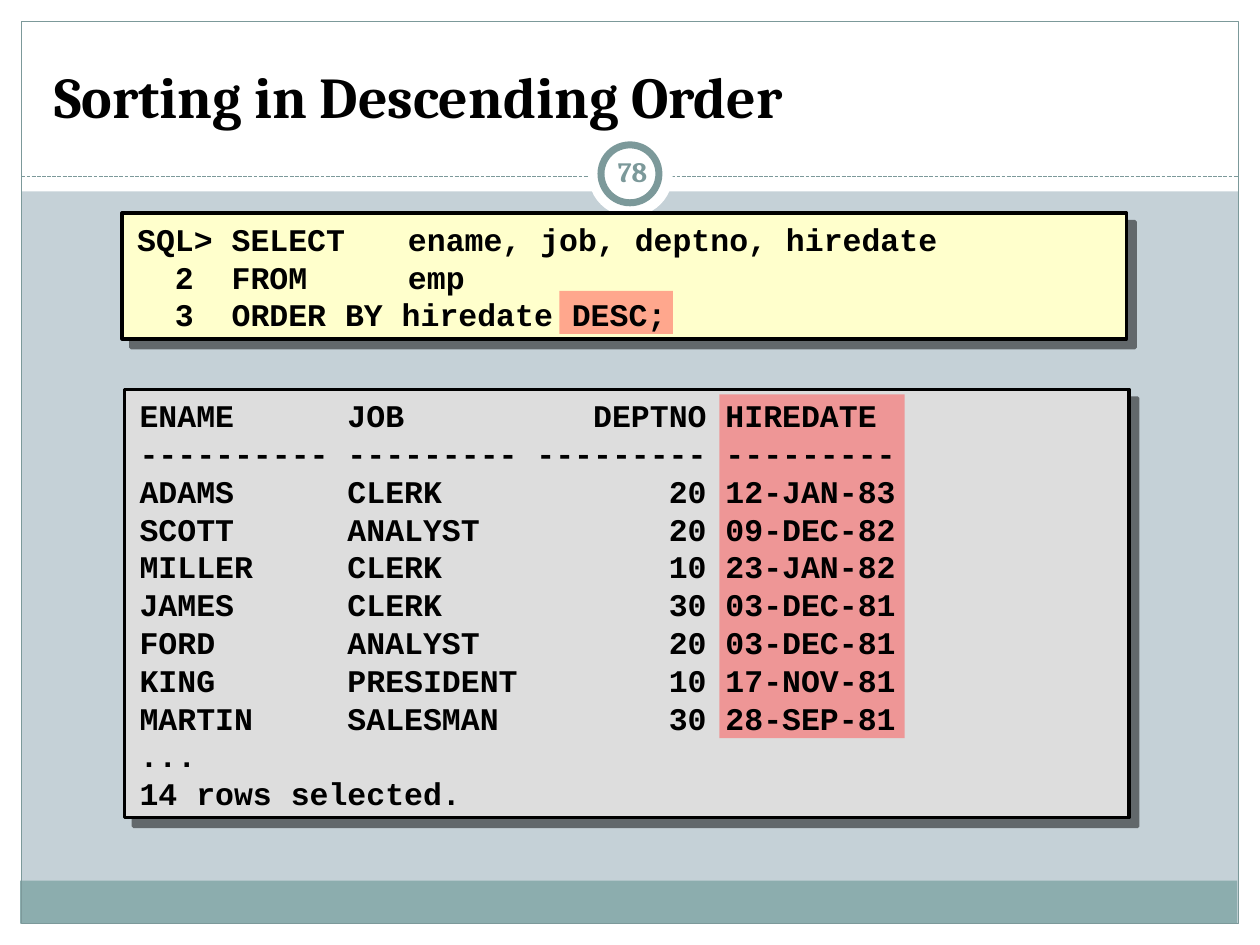
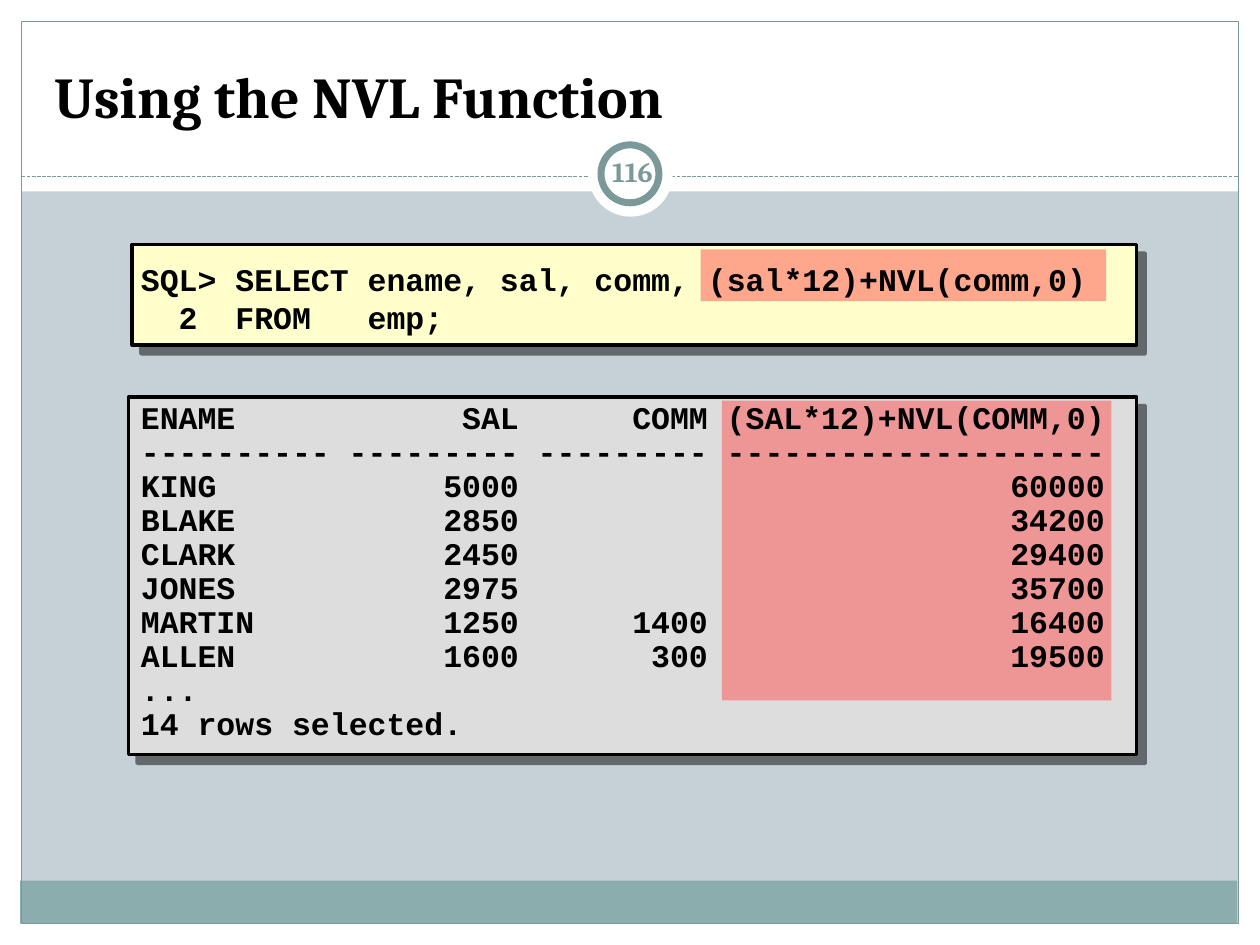
from lxml.etree import SubElement as Sub
from pptx import Presentation
from pptx.dml.color import RGBColor
from pptx.enum.dml import MSO_LINE as Dash
from pptx.enum.shapes import MSO_CONNECTOR as Conn, MSO_SHAPE as Kind
from pptx.enum.text import MSO_ANCHOR as Anchor, MSO_AUTO_SIZE as Fit, PP_ALIGN as Align
from pptx.oxml.ns import qn
from pptx.util import Inches, Pt

WHITE, BLACK, SKY, BAND, EDGE = "FFFFFF", "000000", "C5D1D7", "8CADAE", "7C999A"
CODE, RESULT, MARK = "FFFFCC", "DDDDDD", "FF5050"
SERIF, MONO = "Cambria", "Courier New"
CHAR = 0.15  # width of one 18 pt Courier New character, in inches

SORT_CODE = [
    "SQL> SELECT\tename, job, deptno, hiredate",
    "  2  FROM\temp",
    "  3  ORDER BY hiredate DESC;",
]
SORT_ROWS = [
    ("ENAME", "JOB", "DEPTNO", "HIREDATE"),
    ("-" * 10, "-" * 9, "-" * 9, "-" * 9),
    ("ADAMS", "CLERK", "20", "12-JAN-83"),
    ("SCOTT", "ANALYST", "20", "09-DEC-82"),
    ("MILLER", "CLERK", "10", "23-JAN-82"),
    ("JAMES", "CLERK", "30", "03-DEC-81"),
    ("FORD", "ANALYST", "20", "03-DEC-81"),
    ("KING", "PRESIDENT", "10", "17-NOV-81"),
    ("MARTIN", "SALESMAN", "30", "28-SEP-81"),
    ("...",),
    ("14 rows selected.",),
]
NVL_CODE = [
    "SQL> SELECT\tename, sal, comm, (sal*12)+NVL(comm,0)",
    "  2  FROM\temp;",
]
NVL_ROWS = [
    ("ENAME", "SAL", "COMM", "(SAL*12)+NVL(COMM,0)"),
    ("-" * 10, "-" * 9, "-" * 9, "-" * 20),
    ("KING", "5000", "", "60000"),
    ("BLAKE", "2850", "", "34200"),
    ("CLARK", "2450", "", "29400"),
    ("JONES", "2975", "", "35700"),
    ("MARTIN", "1250", "1400", "16400"),
    ("ALLEN", "1600", "300", "19500"),
    ("...",),
    ("14 rows selected.",),
]


def rgb(code):
    return RGBColor.from_string(code)


def inch(box):
    return [Inches(n) for n in box]


def add_form(slide, box, fill=None, line=None, width=0.75, kind=Kind.RECTANGLE):
    form = slide.shapes.add_shape(kind, *inch(box))
    form.shadow.inherit = False
    if fill:
        form.fill.solid()
        form.fill.fore_color.rgb = rgb(fill)
    else:
        form.fill.background()
    if line:
        form.line.color.rgb = rgb(line)
        form.line.width = Pt(width)
    else:
        form.line.fill.background()
    return form


def add_panel(slide, box, fill):
    """Outlined box with a hard shadow to the lower right."""
    panel = add_form(slide, box, fill, BLACK, 2)
    effects = panel.element.spPr.find(qn("a:effectLst"))
    cast = Sub(effects, qn("a:outerShdw"), blurRad="0", dist=str(Pt(7.1)),
               dir="2700000", algn="ctr", rotWithShape="0")
    tint = Sub(cast, qn("a:srgbClr"), val=BLACK)
    Sub(tint, qn("a:alpha"), val="50000")


def add_mark(slide, box):
    """Half-transparent highlight."""
    mark = add_form(slide, box, MARK)
    tint = mark.element.spPr.find(qn("a:solidFill"))[0]
    Sub(tint, qn("a:alpha"), val="50000")


def add_run(para, text, font, size, color, bold=True):
    run = para.add_run()
    run.text = text
    run.font.name, run.font.size, run.font.bold = font, Pt(size), bold
    run.font.color.rgb = rgb(color)


def add_tabs(para, stops):
    """Stops are (column in characters, alignment) pairs."""
    tabs = Sub(para._p.get_or_add_pPr(), qn("a:tabLst"))
    for col, side in stops:
        Sub(tabs, qn("a:tab"), pos=str(Inches(col * CHAR)), algn=side)


def add_text(slide, box, lines, stops, anchor=Anchor.MIDDLE, space=1.0):
    frame = slide.shapes.add_textbox(*inch(box)).text_frame
    frame.word_wrap = True
    frame.vertical_anchor = anchor
    for i, line in enumerate(lines):
        para = frame.add_paragraph() if i else frame.paragraphs[0]
        para.line_spacing = space
        add_tabs(para, stops)
        add_run(para, line, MONO, 18, BLACK)


def add_page(slide, number):
    frame = slide.shapes.add_textbox(*inch((4.77, 1.12, 0.5, 0.48))).text_frame
    frame.word_wrap = True
    frame.vertical_anchor = Anchor.MIDDLE
    frame.margin_left = frame.margin_right = Inches(0.05)
    para = frame.paragraphs[0]
    para.alignment = Align.CENTER
    add_run(para, str(number), SERIF, 16, EDGE)


def set_frame(layout, slide):
    """Draw the shared frame on a slide, then move it into the layout."""
    layout.background.fill.solid()
    layout.background.fill.fore_color.rgb = rgb(SKY)
    title = layout.placeholders[0]
    title.left, title.top, title.width, title.height = inch((0.33, 0.25, 9.33, 0.83))

    parts = [add_form(slide, box, WHITE) for box in (
        (0, 7.33, 10, 0.17), (0, 0, 10, 1.52), (0, 0, 0.17, 7.5), (9.83, 0, 0.17, 7.5))]
    parts.append(add_form(slide, (0.16, 6.99, 9.66, 0.34), BAND))
    parts.append(add_form(slide, (0.17, 0.17, 9.66, 7.16), None, EDGE))
    rule = slide.shapes.add_connector(Conn.STRAIGHT, *inch((0.17, 1.4, 9.83, 1.4)))
    rule.line.color.rgb = rgb(EDGE)
    rule.line.width = Pt(0.75)
    rule.line.dash_style = Dash.SQUARE_DOT
    Sub(rule.element.spPr, qn("a:effectLst"))
    parts.append(rule)
    parts.append(add_form(slide, (4.67, 1.05, 0.67, 0.67), WHITE, kind=Kind.OVAL))
    parts.append(add_form(slide, (4.77, 1.15, 0.46, 0.46), WHITE, EDGE, 4, Kind.OVAL))
    for i, part in enumerate(parts):
        part.element.xpath(".//p:cNvPr")[0].set("id", str(100 + i))
        layout.shapes.element.insert(2 + i, part.element)


def set_title(slide, text, number):
    frame = slide.shapes.title.text_frame
    frame.vertical_anchor = Anchor.BOTTOM
    frame.auto_size = Fit.NONE
    para = frame.paragraphs[0]
    para.alignment = Align.LEFT
    add_run(para, text, SERIF, 33, BLACK)
    add_page(slide, number)


def join(rows):
    return ["\t".join(row) for row in rows]


def sort_slide(slide):
    set_title(slide, "Sorting in Descending Order", 78)
    add_panel(slide, (0.97, 1.69, 7.97, 1), CODE)
    add_panel(slide, (0.99, 3.09, 7.97, 3.4), RESULT)
    add_mark(slide, (4.44, 2.31, 0.9, 0.34))
    add_mark(slide, (5.71, 3.13, 1.47, 2.73))
    add_text(slide, (0.99, 1.68, 8, 1.03), SORT_CODE, [(14.33, "l")])
    add_text(slide, (1.01, 3.08, 8, 3.43), join(SORT_ROWS),
             [(11, "l"), (30, "r"), (31, "l")])


def nvl_slide(slide):
    set_title(slide, "Using the NVL Function", 116)
    add_panel(slide, (1.05, 1.94, 7.97, 0.8), CODE)
    add_panel(slide, (1.02, 3.15, 8, 2.84), RESULT)
    add_mark(slide, (5.56, 1.98, 3.22, 0.41))
    add_mark(slide, (5.73, 3.18, 3.09, 2.38))
    add_text(slide, (1.02, 1.82, 8, 1.09), NVL_CODE, [(12, "l")])
    add_text(slide, (1.02, 3.14, 7.97, 2.81), join(NVL_ROWS),
             [(20, "r"), (30, "r"), (51, "r")], Anchor.TOP, 0.9)


def main():
    deck = Presentation()
    deck.slide_width, deck.slide_height = Inches(10), Inches(7.5)
    layout = deck.slide_layouts[5]
    first, second = [deck.slides.add_slide(layout) for _ in range(2)]
    set_frame(layout, first)
    sort_slide(first)
    nvl_slide(second)
    deck.save("out.pptx")


if __name__ == "__main__":
    main()
